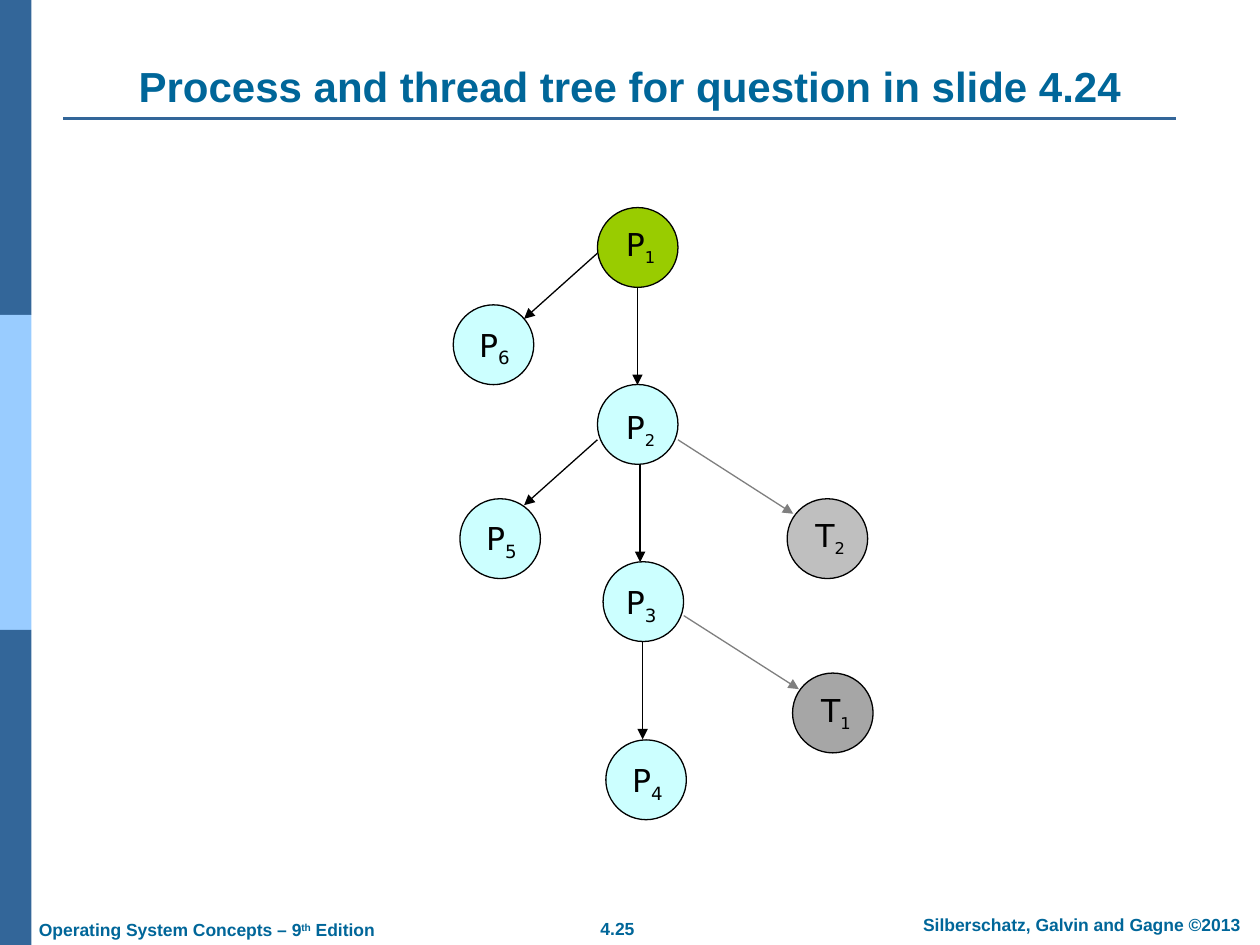
from lxml.etree import SubElement
from pptx import Presentation
from pptx.dml.color import RGBColor
from pptx.enum.shapes import MSO_CONNECTOR as CONN, MSO_SHAPE as SHAPE
from pptx.enum.text import MSO_ANCHOR as ANCHOR, PP_ALIGN as ALIGN
from pptx.oxml.ns import qn
from pptx.util import Pt

BLUE = RGBColor(0x33, 0x66, 0x99)
SKY = RGBColor(0x99, 0xCC, 0xFF)
TEAL = RGBColor(0x00, 0x66, 0x99)
BLACK = RGBColor(0, 0, 0)
GRAY = RGBColor(0x7F, 0x7F, 0x7F)
GREEN = RGBColor(0x99, 0xCC, 0x00)
CYAN = RGBColor(0xCC, 0xFF, 0xFF)
LIGHT = RGBColor(0xBF, 0xBF, 0xBF)
MID = RGBColor(0xA6, 0xA6, 0xA6)

TITLE = "Process and thread tree for question in slide 4.24"
FOOTERS = [
    ([("4.25", 0)], (317.5, 521, 70.6, 19), ALIGN.CENTER),
    ([("Silberschatz, Galvin and Gagne ©2013", 0)],
     (511.2, 518.8, 213.8, 19), ALIGN.CENTER),
    ([("Operating System Concepts – 9", 0), ("th", 30), (" Edition", 0)],
     (15.1, 521.6, 220, 19), ALIGN.LEFT),
]
NODES = [
    ("P", "1", 16, (341.4, 118.6), (350.6, 124.9), GREEN),
    ("P", "2", 16, (341.4, 219.7), (350.6, 229.7), CYAN),
    ("P", "3", 18, (344.6, 321), (350.6, 329.8), CYAN),
    ("P", "4", 18, (346.2, 422.8), (354.2, 431.3), CYAN),
    ("P", "5", 18, (262.8, 285), (270.7, 293.3), CYAN),
    ("P", "6", 18, (259, 174.2), (266.7, 182.5), CYAN),
    ("T", "1", 16, (452.9, 384.6), (462.2, 391.3), MID),
    ("T", "2", 16, (449.8, 285), (458.8, 291.6), LIGHT),
]
ARROWS = [
    ((364.3, 164.2), (364.3, 220), BLACK),
    ((365.8, 265.4), (365.8, 321.2), BLACK),
    ((367.2, 366.5), (367.2, 422.5), BLACK),
    ((341.4, 144.7), (299.5, 182.2), BLACK),
    ((341.4, 251.3), (299.5, 288.7), BLACK),
    ((387.4, 251.3), (453.3, 293.6), GRAY),
    ((390.7, 351.8), (456.5, 393.8), GRAY),
]
CIRCLE = (46, 45.6)
LABEL = (42.5, 31.3)


def add_shape(s, kind, box, fill, line=None):
    sp = s.shapes.add_shape(kind, *map(Pt, box))
    sp.shadow.inherit = False
    sp.fill.solid()
    sp.fill.fore_color.rgb = fill
    if line is None:
        sp.line.fill.background()
    else:
        sp.line.color.rgb = line
        sp.line.width = Pt(0.75)


def add_line(s, start, end, color, width, arrow=False):
    c = s.shapes.add_connector(CONN.STRAIGHT, *map(Pt, start + end))
    c.line.color.rgb = color
    c.line.width = Pt(width)
    if arrow:
        ln = c._element.spPr.find(qn("a:ln"))
        SubElement(ln, qn("a:tailEnd"), type="triangle")
    SubElement(c._element.spPr, qn("a:effectLst"))


def add_text(s, runs, box, font, color, bold=False, align=ALIGN.LEFT,
             anchor=ANCHOR.TOP):
    tf = s.shapes.add_textbox(*map(Pt, box)).text_frame
    tf.word_wrap = True
    tf.vertical_anchor = anchor
    p = tf.paragraphs[0]
    p.alignment = align
    for text, size, baseline in runs:
        r = p.add_run()
        r.text = text
        r.font.name = font
        r.font.size = Pt(size)
        r.font.bold = bold
        r.font.color.rgb = color
        if baseline:
            r.font._element.set("baseline", str(baseline * 1000))


def main():
    prs = Presentation()
    prs.slide_width, prs.slide_height = Pt(720), Pt(540)
    s = prs.slides.add_slide(prs.slide_layouts[6])

    for i, color in enumerate((BLUE, SKY, BLUE)):
        add_shape(s, SHAPE.RECTANGLE, (0, i * 180, 18, 180), color)
    add_line(s, (36, 67.7), (672, 67.7), BLUE, 1.5)
    add_text(s, [(TITLE, 24, 0)], (36, 21.6, 648, 45.4), "Arial", TEAL,
             True, ALIGN.CENTER, ANCHOR.BOTTOM)
    for parts, box, align in FOOTERS:
        runs = [(text, 10, baseline) for text, baseline in parts]
        add_text(s, runs, box, "Arial", TEAL, True, align)

    for letter, sub, sub_size, circle, label, fill in NODES:
        add_shape(s, SHAPE.OVAL, circle + CIRCLE, fill, BLACK)
        add_text(s, [(letter, 18, 0), (sub, sub_size, -25)], label + LABEL,
                 "DejaVu Sans", BLACK)
    for start, end, color in ARROWS:
        add_line(s, start, end, color, 0.75, True)

    prs.save("out.pptx")


if __name__ == "__main__":
    main()
